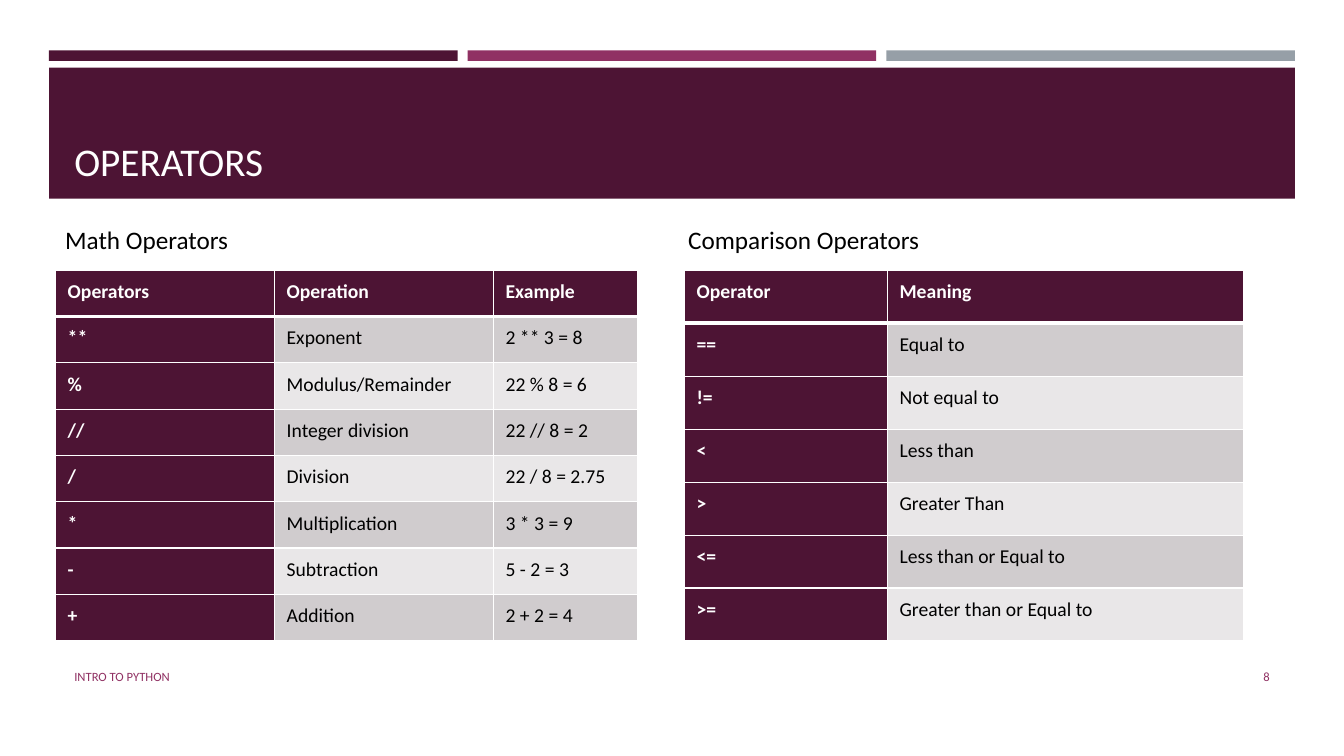
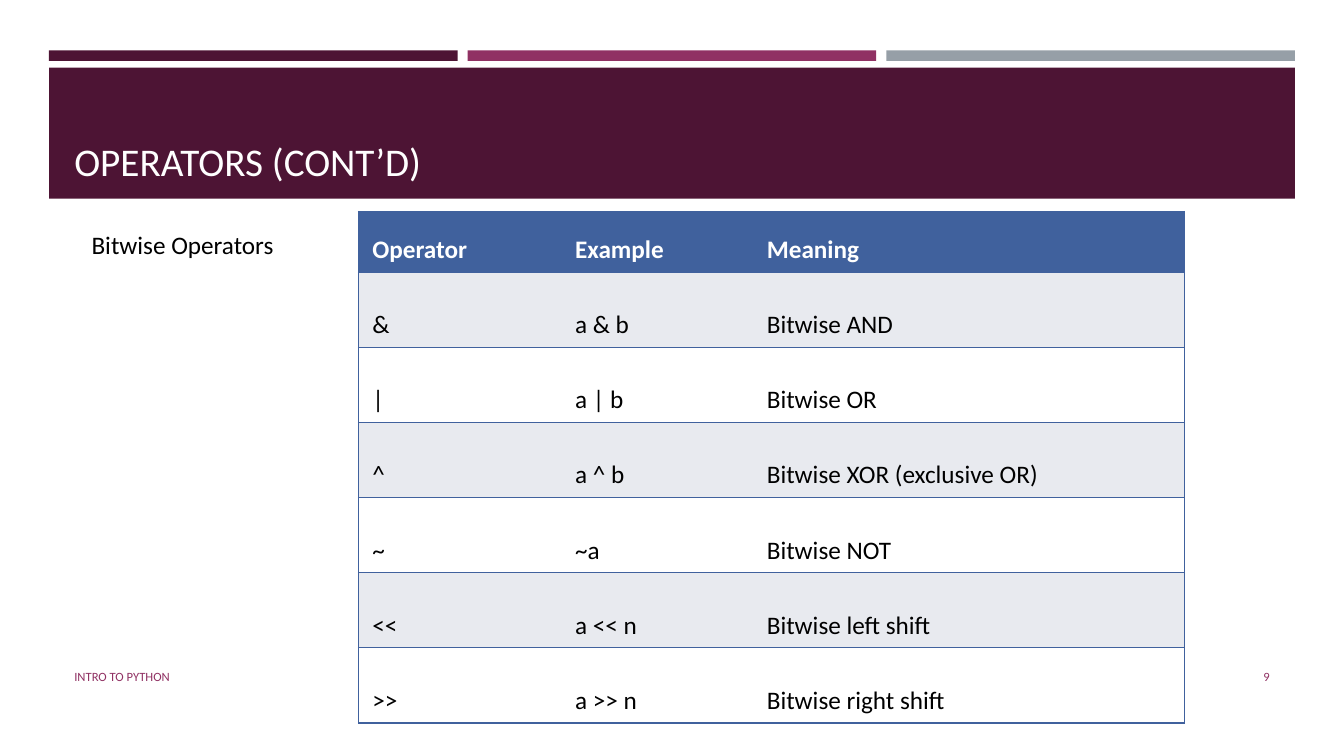
"""Build two slides on Python operators."""
from dataclasses import dataclass

from lxml import etree
from pptx import Presentation
from pptx.dml.color import RGBColor
from pptx.enum.shapes import MSO_SHAPE
from pptx.enum.text import MSO_ANCHOR, PP_ALIGN
from pptx.oxml.ns import qn
from pptx.util import Pt

RECTANGLE = MSO_SHAPE.RECTANGLE
TOP, MIDDLE, BOTTOM = MSO_ANCHOR.TOP, MSO_ANCHOR.MIDDLE, MSO_ANCHOR.BOTTOM
LEFT, RIGHT = PP_ALIGN.LEFT, PP_ALIGN.RIGHT
NO_GRID_STYLE = "{2D5ABB26-0587-4C30-8999-92F81FD0307C}"


@dataclass(frozen=True)
class Theme:
    """Colours, font and type sizes shared by the slides."""
    font: str = "Calibri"
    plum: str = "4D1434"
    berry: str = "903163"
    grey: str = "969FA7"
    blue: str = "40619D"
    white: str = "FFFFFF"
    black: str = "000000"
    title_size: float = 28
    heading_size: float = 18
    cell_size: float = 14
    footer_size: float = 9


@dataclass(frozen=True)
class TableLook:
    """Appearance of one kind of table."""
    accent: str
    stripes: tuple
    rule: str
    header_rule: float
    inner_verticals: bool
    accent_first_column: bool
    size: float
    spacing: float
    anchor: MSO_ANCHOR
    inset: tuple


THEME = Theme()
PLUM_LOOK = TableLook(THEME.plum, ("D0CCCE", "E9E7E8"), THEME.white, 3, True, True,
                      THEME.cell_size, 1.07, TOP, (8.6, 5.8))
BLUE_LOOK = TableLook(THEME.blue, ("E8EAEF", THEME.white), THEME.blue, 1, False, False,
                      THEME.heading_size, 1, BOTTOM, (10, 5))

MATH_ROWS = [
    ("Operators", "Operation", "Example"),
    ("**", "Exponent", "2 ** 3 = 8"),
    ("%", "Modulus/Remainder", "22 % 8 = 6"),
    ("//", "Integer division", "22 // 8 = 2"),
    ("/", "Division", "22 / 8 = 2.75"),
    ("*", "Multiplication", "3 * 3 = 9"),
    ("-", "Subtraction", "5 - 2 = 3"),
    ("+", "Addition", "2 + 2 = 4"),
]
COMPARISON_ROWS = [
    ("Operator", "Meaning"),
    ("==", "Equal to"),
    ("!=", "Not equal to"),
    ("<", "Less than"),
    (">", "Greater Than"),
    ("<=", "Less than or Equal to"),
    (">=", "Greater than or Equal to"),
]
BITWISE_ROWS = [
    ("Operator", "Example", "Meaning"),
    ("&", "a & b", "Bitwise AND"),
    ("|", "a | b", "Bitwise OR"),
    ("^", "a ^ b", "Bitwise XOR (exclusive OR)"),
    ("~", "~a", "Bitwise NOT"),
    ("<<", "a << n", "Bitwise left shift"),
    (">>", "a >> n", "Bitwise right shift"),
]


def style_para(para, size, colour, bold=False):
    """Format the runs of a paragraph."""
    for span in para.runs:
        span.font.name = THEME.font
        span.font.size = Pt(size)
        span.font.bold = bold
        span.font.color.rgb = RGBColor.from_string(colour)


def add_block(page, box, colour):
    """Draw a plain filled rectangle."""
    block = page.shapes.add_shape(RECTANGLE, *map(Pt, box))
    block.shadow.inherit = False
    block.fill.solid()
    block.fill.fore_color.rgb = RGBColor.from_string(colour)
    block.line.fill.background()


def add_text(page, box, text, size, colour, anchor=TOP, align=LEFT):
    """Place one line of text in a box."""
    frame = page.shapes.add_textbox(*map(Pt, box)).text_frame
    frame.word_wrap = True
    frame.vertical_anchor = anchor
    frame.text = text
    para = frame.paragraphs[0]
    para.alignment = align
    style_para(para, size, colour)


def add_bars(page, box, gap=7.2):
    """Draw three equal bars across a box."""
    left, top, width, height = box
    colours = (THEME.plum, THEME.berry, THEME.grey)
    bar_width = (width - gap * (len(colours) - 1)) / len(colours)
    for index, colour in enumerate(colours):
        add_block(page, (left + index * (bar_width + gap), top, bar_width, height), colour)


def add_title_band(page, box, title):
    """Draw the title band with its title at the bottom."""
    left, top, width, height = box
    add_block(page, box, THEME.plum)
    add_text(page, (left + 11, top + 7, width - 22, height - 14), title,
             THEME.title_size, THEME.white, BOTTOM)


def add_footer(page, box, number):
    """Place the course name and the slide number."""
    left, top, width, height = box
    number_width = 83
    add_text(page, (left, top, 544, height), "INTRO TO PYTHON",
             THEME.footer_size, THEME.berry, MIDDLE)
    add_text(page, (left + width - number_width, top, number_width, height), str(number),
             THEME.footer_size, THEME.berry, MIDDLE, RIGHT)


def set_borders(cell, colour, widths):
    """Set the left, right, top and bottom borders; a zero width hides one."""
    properties = cell._tc.get_or_add_tcPr()
    for side, width in zip("LRTB", widths):
        line = etree.SubElement(properties, qn(f"a:ln{side}"), w=str(Pt(width)))
        if width:
            fill = etree.SubElement(line, qn("a:solidFill"))
            etree.SubElement(fill, qn("a:srgbClr"), val=colour)
        else:
            etree.SubElement(line, qn("a:noFill"))


def fill_cell(cell, text, row, column, last_column, look):
    """Write and format a table cell according to its place."""
    accented = row == 0 or (look.accent_first_column and column == 0)
    inner = 1 if look.inner_verticals else 0
    set_borders(cell, look.rule, (
        1 if column == 0 else inner,
        1 if column == last_column else inner,
        look.header_rule if row == 1 else 1,
        look.header_rule if row == 0 else 1,
    ))
    cell.fill.solid()
    cell.fill.fore_color.rgb = RGBColor.from_string(
        look.accent if accented else look.stripes[(row - 1) % 2])
    cell.margin_left = cell.margin_right = Pt(look.inset[0])
    cell.margin_top = cell.margin_bottom = Pt(look.inset[1])
    cell.vertical_anchor = look.anchor
    cell.text_frame.text = text
    para = cell.text_frame.paragraphs[0]
    para.line_spacing = look.spacing
    style_para(para, look.size, THEME.white if accented else THEME.black, accented)


def add_operator_table(page, origin, widths, header_height, row_height, rows, look):
    """Build a table with a header row from its top left corner."""
    height = header_height + row_height * (len(rows) - 1)
    frame = page.shapes.add_table(len(rows), len(widths),
                                  *map(Pt, (*origin, sum(widths), height)))
    table = frame.table
    table.horz_banding = False
    table._tbl.tblPr.find(qn("a:tableStyleId")).text = NO_GRID_STYLE
    for column, width in zip(table.columns, widths):
        column.width = Pt(width)
    for row_index, values in enumerate(rows):
        table.rows[row_index].height = Pt(row_height if row_index else header_height)
        for column_index, value in enumerate(values):
            fill_cell(table.cell(row_index, column_index), value,
                      row_index, column_index, len(widths) - 1, look)


def add_page(deck, title, number):
    """Add a blank slide with bars, title band and footer."""
    page = deck.slides.add_slide(deck.slide_layouts[6])
    add_bars(page, (35, 36, 890, 7.5))
    add_title_band(page, (35, 48.4, 890, 93.6), title)
    add_footer(page, (46, 469, 868, 29), number)
    return page


def add_heading(page, left, top, width, text):
    """Place the heading of a table."""
    add_text(page, (left, top, width, 29), text, THEME.heading_size, THEME.black)


def build_basic_operators(deck):
    """Build the slide of math and comparison operators."""
    page = add_page(deck, "OPERATORS", 8)
    add_operator_table(page, (39.8, 193), (156.4, 156.4, 103), 33.1, 33.1,
                       MATH_ROWS, PLUM_LOOK)
    add_operator_table(page, (489, 193), (145, 254), 37.85, 37.85,
                       COMPARISON_ROWS, PLUM_LOOK)
    add_heading(page, 39.5, 157, 210, "Math Operators")
    add_heading(page, 484.5, 157, 440, "Comparison Operators")


def build_bitwise_operators(deck):
    """Build the slide of bitwise operators."""
    page = add_page(deck, "OPERATORS (CONT’D)", 9)
    add_operator_table(page, (256, 151), (144.8, 137, 308.2), 43.6, 53.65,
                       BITWISE_ROWS, BLUE_LOOK)
    add_heading(page, 58.3, 160.5, 190, "Bitwise Operators")


def main():
    """Build and save the deck."""
    deck = Presentation()
    deck.slide_width, deck.slide_height = Pt(960), Pt(540)
    build_basic_operators(deck)
    build_bitwise_operators(deck)
    deck.save("out.pptx")


if __name__ == "__main__":
    main()
